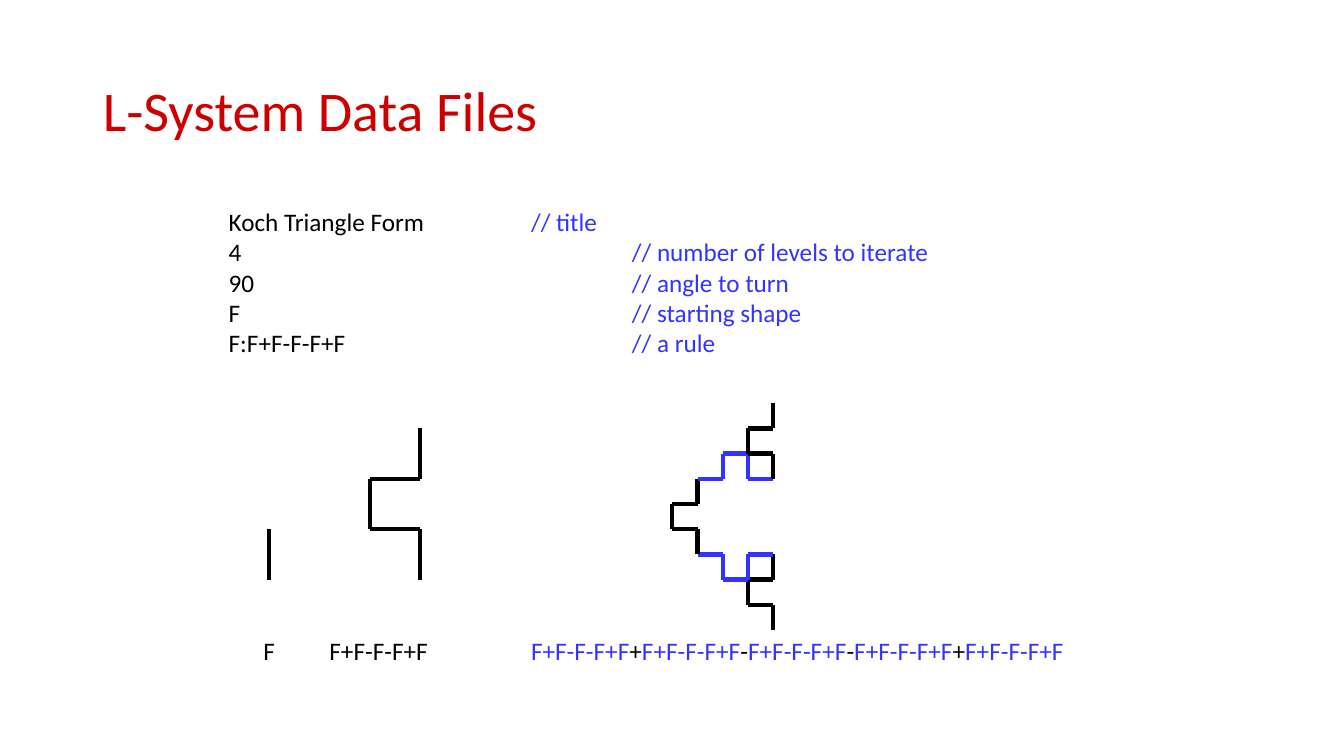
import pptx
import pptx.dml.color
import pptx.enum.shapes
import pptx.enum.text
import pptx.util
from lxml import etree

NS = "{http://schemas.openxmlformats.org/drawingml/2006/main}"
ALIGN = pptx.enum.text.PP_ALIGN
FIT = pptx.enum.text.MSO_AUTO_SIZE
ANCHOR = pptx.enum.text.MSO_ANCHOR
INCH = pptx.util.Inches
BLACK, BLUE, RED = "000000", "3333FF", "CD0000"
RULE = "F+F-F-F+F"
LEFT, CELL = 1.67, 0.25


def color(code):
    """Turn a hex string into a colour."""
    return pptx.dml.color.RGBColor.from_string(code)


def grid(col, row):
    """Give the slide point of a grid column and row."""
    return INCH(LEFT + col * CELL), INCH(row * CELL)


def write(par, runs, size=18, align=ALIGN.LEFT, tab=None, space=1.0):
    """Fill a paragraph with (text, colour) runs."""
    if tab:
        tabs = etree.SubElement(par._p.get_or_add_pPr(), NS + "tabLst")
        etree.SubElement(tabs, NS + "tab", pos=str(INCH(tab)), algn="l")
    par.alignment = align
    par.line_spacing = space
    for text, code in runs:
        run = par.add_run()
        run.text = text
        run.font.name = "Calibri"
        run.font.size = pptx.util.Pt(size)
        run.font.color.rgb = color(code)


def box(slide, col, row, wide, high):
    """Add a wrapping text box on the grid and return its frame."""
    size = INCH(wide * CELL), INCH(high * CELL)
    frame = slide.shapes.add_textbox(*grid(col, row), *size).text_frame
    frame.word_wrap = True
    frame.auto_size = FIT.SHAPE_TO_FIT_TEXT
    return frame


def label(slide, col, wide, runs, **form):
    """Add a caption in the bottom row."""
    write(box(slide, col, 25, wide, 1.6).paragraphs[0], runs, **form)


def line(group, start, end, code):
    """Add one stroke between two grid points."""
    kind = pptx.enum.shapes.MSO_CONNECTOR.STRAIGHT
    item = group.shapes.add_connector(kind, *grid(*start), *grid(*end))
    item.line.color.rgb = color(code)
    item.line.width = pptx.util.Pt(3)
    etree.SubElement(item._element.spPr, NS + "effectLst")


def curve(slide, moves, col, row, step):
    """Draw turtle moves: F goes on, + turns left, - turns right."""
    dx, dy, count = 0, -step, 0
    for move in moves:
        if move == "+":
            dx, dy = dy, -dx
        elif move == "-":
            dx, dy = -dy, dx
        else:
            if count % 5 == 0:
                group = slide.shapes.add_group_shape()
            end = col + dx, row + dy
            line(group, (col, row), end, (BLACK, BLUE)[count // 5 % 2])
            col, row = end
            count += 1


def title(deck, slide, text):
    """Place and format the slide title."""
    head = slide.shapes.title
    head.left, head.top = int(deck.slide_width * 0.069), INCH(0.4)
    head.width, head.height = int(deck.slide_width * 0.8625), INCH(1.45)
    frame = head.text_frame
    frame.auto_size = FIT.NONE
    frame.vertical_anchor = ANCHOR.MIDDLE
    write(frame.paragraphs[0], [(text, RED)], size=40, space=0.9)


def notes(slide):
    """List the lines of the data file with their comments."""
    rows = [
        ("Koch Triangle Form", "// title", 3),
        ("4", "// number of levels to iterate", 4),
        ("90", "// angle to turn", 4),
        ("F", "// starting shape", 4),
        ("F:" + RULE, "// a rule", 4),
    ]
    frame = box(slide, 2, 8, 35, 6.5)
    for num, (data, note, tab) in enumerate(rows):
        par = frame.add_paragraph() if num else frame.paragraphs[0]
        write(par, [(data + "\t", BLACK), (note, BLUE)], tab=tab)


def main():
    """Build the slide and save it."""
    deck = pptx.Presentation()
    deck.slide_width, deck.slide_height = INCH(13.333), INCH(7.5)
    slide = deck.slides.add_slide(deck.slide_layouts[5])
    title(deck, slide, "L-System Data Files")
    notes(slide)
    curve(slide, "F", 4, 23, 2)
    label(slide, 2, 4, [("F", BLACK)], align=ALIGN.CENTER)
    curve(slide, RULE, 10, 23, 2)
    label(slide, 6, 8, [(RULE, BLACK)])
    curve(slide, RULE.replace("F", RULE), 24, 25, 1)
    runs = [(RULE, BLUE) if sign == "F" else (sign, BLACK) for sign in RULE]
    label(slide, 14, 24, runs)
    deck.save("out.pptx")


if __name__ == "__main__":
    main()
